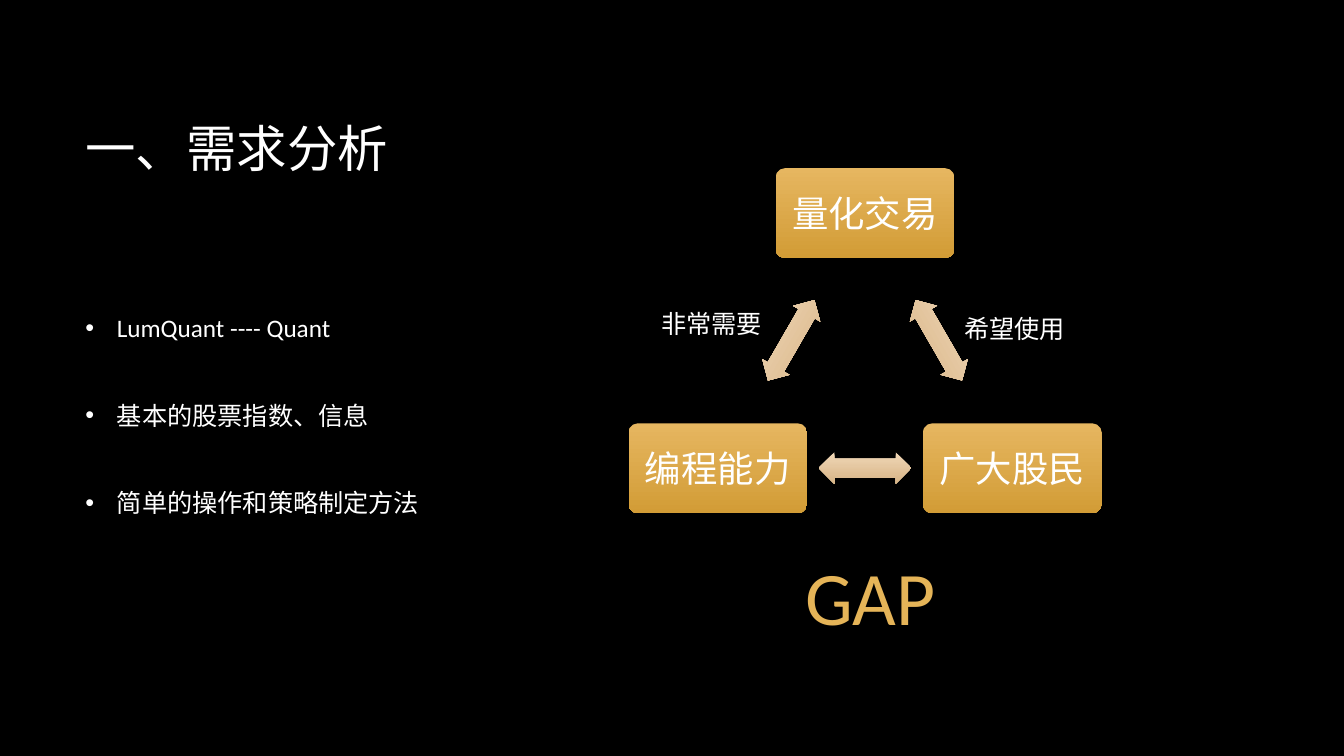
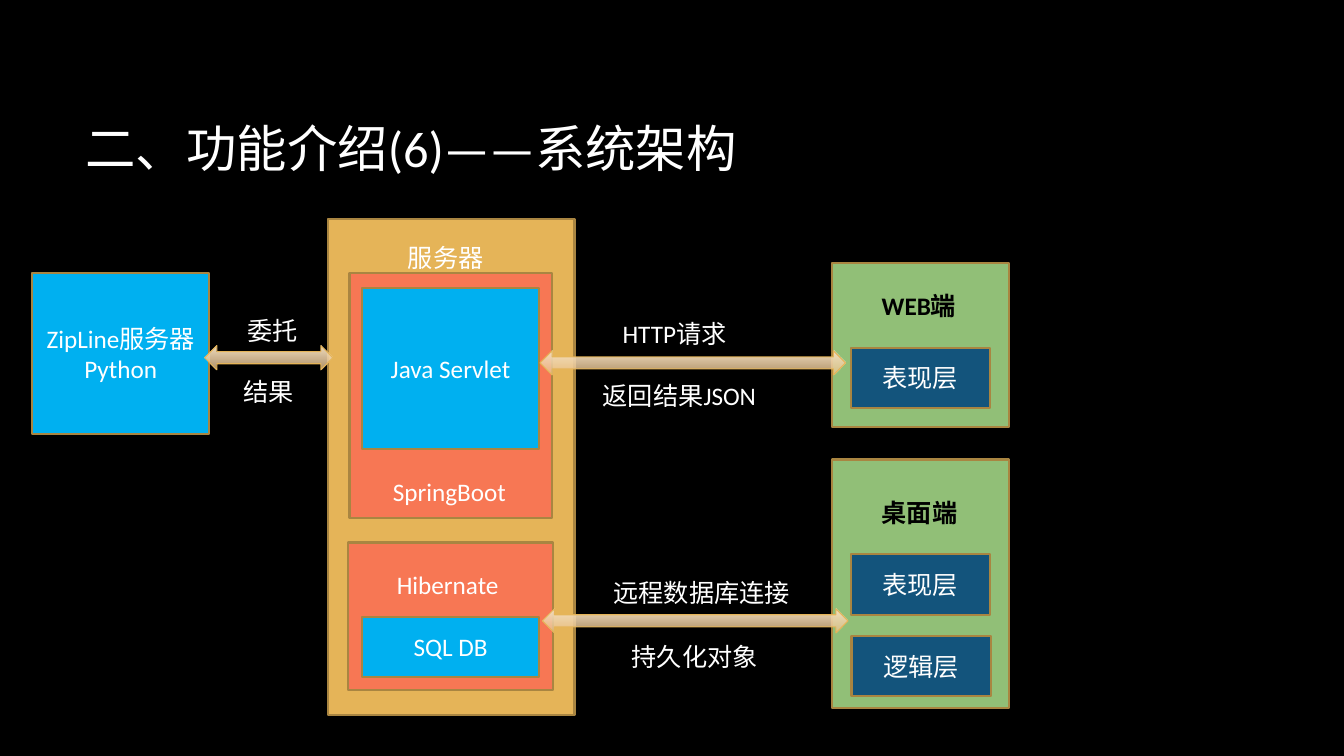
from pptx import Presentation
from pptx.dml.color import RGBColor
from pptx.enum.shapes import MSO_SHAPE
from pptx.enum.text import MSO_ANCHOR, MSO_AUTO_SIZE, PP_ALIGN
from pptx.oxml.ns import qn
from pptx.util import Cm, Pt

RECT, ROUND, ARROW = MSO_SHAPE.RECTANGLE, MSO_SHAPE.ROUNDED_RECTANGLE, MSO_SHAPE.LEFT_RIGHT_ARROW
LEFT, MID = PP_ALIGN.LEFT, PP_ALIGN.CENTER
TOP, CENTRE = MSO_ANCHOR.TOP, MSO_ANCHOR.MIDDLE


class Theme:
    font = "Calibri"
    back, dark, white = "000000", "000000", "FFFFFF"
    gold, edge = "E5B458", "A98541"
    blue, coral, green, navy = "00B0F0", "F77754", "91BF77", "13547C"
    node, link, flow = ("E6B660", "D29C36"), ("F0D7B6", "D7B487"), ("F4E0C5", "EAC48C")
    title, text, big, huge = 36, 18, 26, 54


def put(slide, kind, at, fill, edge=None, width=1.5):
    """Add a shape at a place in cm; a pair of colours makes a gradient."""
    shape = slide.shapes.add_shape(kind, *map(Cm, at))
    shape.shadow.inherit = False
    if isinstance(fill, tuple):
        shape.fill.gradient()
        shape.fill.gradient_angle = 270
        for stop, color in zip(shape.fill.gradient_stops, fill):
            stop.color.rgb = RGBColor.from_string(color)
    else:
        shape.fill.solid()
        shape.fill.fore_color.rgb = RGBColor.from_string(fill)
    if edge:
        shape.line.color.rgb = RGBColor.from_string(edge)
        shape.line.width = Pt(width)
    else:
        shape.line.fill.background()
    return shape


def write(shape, text, size=Theme.text, color=Theme.white, align=LEFT, anchor=TOP, bold=False):
    frame = shape.text_frame
    frame.text = text
    frame.word_wrap = True
    frame.auto_size = MSO_AUTO_SIZE.NONE
    frame.vertical_anchor = anchor
    for para in frame.paragraphs:
        para.alignment = align
        para.font.name = Theme.font
        para.font.size = Pt(size)
        para.font.bold = bold
        para.font.color.rgb = RGBColor.from_string(color)
    return frame


deck = Presentation()
deck.slide_width, deck.slide_height = Cm(33.87), Cm(19.05)
back = deck.slide_master.background.fill
back.solid()
back.fore_color.rgb = RGBColor.from_string(Theme.back)

slides = []
for layout, title in ((1, "一、需求分析"), (5, "二、功能介绍(6)——系统架构")):
    slide = deck.slides.add_slide(deck.slide_layouts[layout])
    head = slide.shapes.title
    head.left, head.top, head.width, head.height = map(Cm, (1.9, 1.7, 28.15, 4.04))
    write(head, title, Theme.title, anchor=CENTRE)
    slides.append(slide)
needs, system = slides

# Needs: list on the left, triangle on the right
body = needs.placeholders[1]
body.left, body.top, body.width, body.height = map(Cm, (1.9, 5.94, 28.15, 9.04))
points = "LumQuant ---- Quant\n基本的股票指数、信息\n简单的操作和策略制定方法"
for para in write(body, points, anchor=CENTRE).paragraphs:
    para.space_before, para.space_after = Pt(0), Pt(41)
    props = para._p.get_or_add_pPr()
    props.set("marL", str(Cm(0.79)))
    props.set("indent", str(Cm(-0.79)))

axis = 21.8
for shift, top, text in ((0, 4.24, "量化交易"), (3.71, 10.67, "广大股民"), (-3.71, 10.67, "编程能力")):
    node = put(needs, ROUND, (axis + shift - 2.25, top, 4.5, 2.26), Theme.node)
    node.adjustments[0] = 0.1
    frame = write(node, text, Theme.big, align=MID, anchor=CENTRE)
    frame.margin_left = frame.margin_right = Cm(0.25)
for shift, top, turn in ((1.86, 8.18, 60), (0, 11.4, 0), (-1.86, 8.18, 300)):
    link = put(needs, ARROW, (axis + shift - 1.17, top, 2.34, 0.79), Theme.link)
    link.adjustments[0], link.adjustments[1] = 0.6, 0.5
    link.rotation = turn
gap = needs.shapes.add_textbox(*map(Cm, (20.02, 13.74, 3.84, 2.57)))
write(gap, "GAP", Theme.huge, Theme.gold, MID).word_wrap = False

# System: nested boxes, then the flows between them
for fill, at, text in (
    (Theme.blue, (0.81, 6.88, 4.47, 4.06), "ZipLine服务器\nPython"),
    (Theme.gold, (8.26, 5.51, 6.22, 12.5), ""),
    (Theme.green, (20.96, 6.63, 4.47, 4.14), ""),
    (Theme.green, (20.96, 11.58, 4.47, 6.27), ""),
    (Theme.coral, (8.81, 6.88, 5.11, 6.17), ""),
    (Theme.coral, (8.76, 13.67, 5.18, 3.73), ""),
    (Theme.blue, (9.12, 7.26, 4.47, 4.06), "Java Servlet"),
    (Theme.blue, (9.12, 15.54, 4.47, 1.52), "SQL DB"),
    (Theme.navy, (21.44, 8.76, 3.51, 1.52), "表现层"),
    (Theme.navy, (21.44, 13.97, 3.51, 1.52), "表现层"),
    (Theme.navy, (21.46, 16.03, 3.51, 1.52), "逻辑层"),
):
    box = put(system, RECT, at, fill, Theme.edge)
    if text:
        write(box, text, align=MID, anchor=CENTRE)

for left, top, width in ((5.16, 8.71, 3.23), (13.61, 8.84, 7.7), (13.67, 15.34, 7.7)):
    flow = put(system, ARROW, (left, top, width, 0.61), Theme.flow, Theme.gold, 0.75)
    end = flow.element.xpath(".//a:gs/a:srgbClr")[-1]
    end.makeelement(qn("a:alpha"), {})
    alpha = end.makeelement(qn("a:alpha"), {"val": "74000"})
    end.append(alpha)

for slide, text, left, top, width in (
    (needs, "非常需要", 16.41, 7.65, 3.25),
    (needs, "希望使用", 24.05, 7.77, 3.25),
    (system, "委托", 5.99, 7.82, 1.93),
    (system, "结果", 5.89, 9.37, 1.93),
    (system, "服务器", 10.03, 5.99, 3.84),
    (system, "HTTP请求", 15.44, 7.9, 3.48),
    (system, "返回结果JSON", 14.94, 9.45, 4.9),
    (system, "SpringBoot", 9.65, 11.89, 3.56),
    (system, "Hibernate", 9.75, 14.22, 3.3),
    (system, "远程数据库连接", 15.21, 14.43, 5.1),
    (system, "持久化对象", 15.67, 16.03, 5.28),
):
    write(slide.shapes.add_textbox(*map(Cm, (left, top, width, 1.02))), text)
for text, top in (("WEB端", 7.19), ("桌面端", 12.4)):
    tag = system.shapes.add_textbox(*map(Cm, (21.97, top, 2.77, 1.02)))
    write(tag, text, color=Theme.dark, bold=True)

deck.save("out.pptx")
